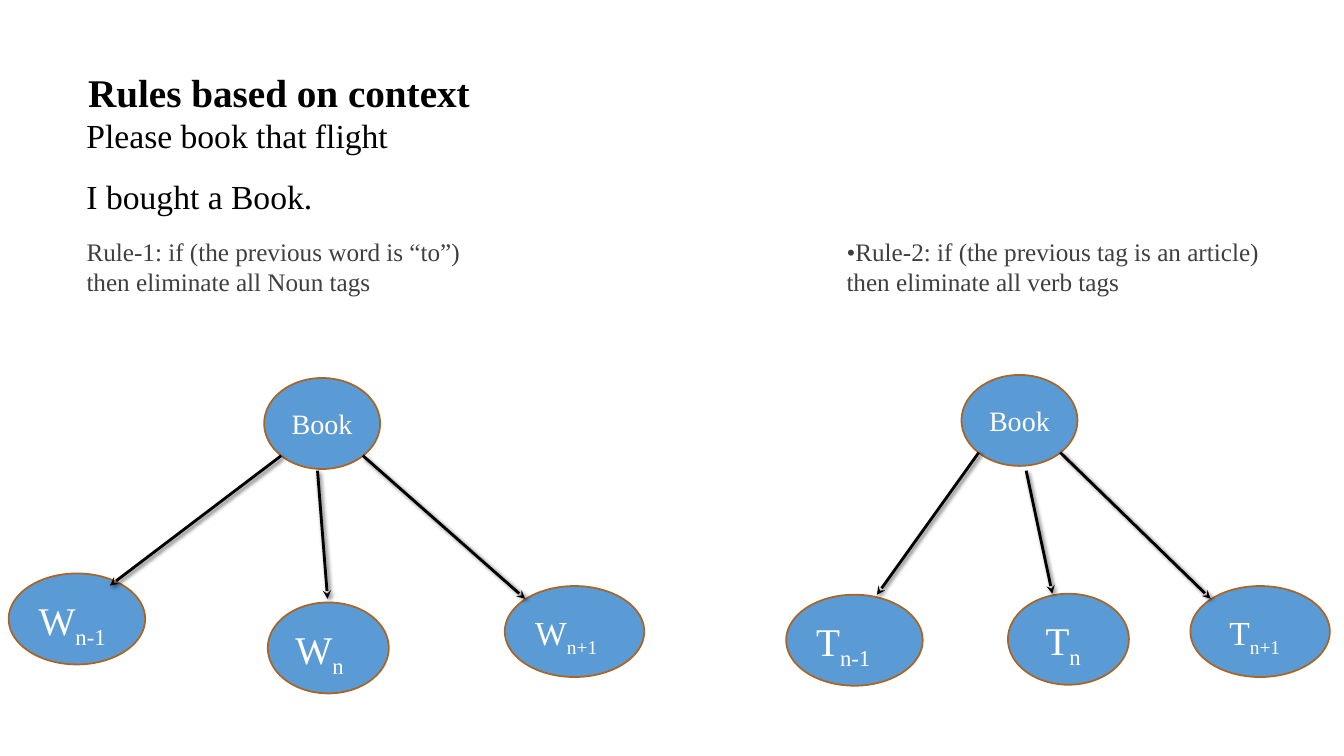
from lxml.etree import SubElement
from pptx import Presentation
from pptx.dml.color import RGBColor
from pptx.enum.shapes import MSO_CONNECTOR, MSO_SHAPE
from pptx.enum.text import MSO_ANCHOR, PP_ALIGN
from pptx.oxml import parse_xml
from pptx.oxml.ns import nsdecls, qn
from pptx.util import Pt

FONT = "Times New Roman"
COLORS = {
    "text": "000000",
    "rule": "3F3F3F",
    "node": "5B9BD5",
    "outline": "A96525",
    "label": "FFFFFF",
}
NODE_HEIGHT = 65

# Root position, then leaves as (left, top, width, letter, subscript, size, indent)
# and arrows as (from x, from y, to x, to y)
TREES = [
    {
        "root": (188.7, 270),
        "leaves": [
            (6.2, 409.6, 97.5, "W", "n-1", 28, 0),
            (191.3, 430.3, 86.4, "W", "n", 28, 0),
            (360.6, 418.6, 99.6, "W", "n+1", 24, 0),
        ],
        "arrows": [
            (200.9, 325.5, 78.5, 418.3),
            (226.8, 336.2, 234, 427.7),
            (259.2, 325.5, 375.1, 427.7),
        ],
    },
    {
        "root": (686.8, 267.8),
        "leaves": [
            (561.6, 424.8, 97.5, "T", "n-1", 28, 0),
            (720, 424.1, 86.4, "T", "n", 28, 7),
            (850.3, 418.6, 99.6, "T", "n+1", 24, 6),
        ],
        "arrows": [
            (699.1, 323.3, 626.4, 424.8),
            (733, 336.2, 751.7, 424.1),
            (757.4, 323.3, 864.7, 427.7),
        ],
    },
]


def rgb(name):
    return RGBColor.from_string(COLORS[name])


def set_font(p, size, color, bold=False):
    p.font.name = FONT
    p.font.size = Pt(size)
    p.font.bold = bold
    p.font.color.rgb = rgb(color)


def set_title(slide, text):
    sp = slide.shapes.title
    sp.left, sp.top, sp.width, sp.height = Pt(62.9), Pt(49), Pt(784), Pt(33)
    tf = sp.text_frame
    tf.margin_left = tf.margin_right = tf.margin_top = tf.margin_bottom = 0
    tf.vertical_anchor = MSO_ANCHOR.TOP
    tf.text = text
    p = tf.paragraphs[0]
    p.alignment = PP_ALIGN.LEFT
    p.line_spacing = 1.0
    set_font(p, 28, "text", bold=True)


def add_text(slide, left, top, width, height, lines, size, color, gap=0):
    sp = slide.shapes.add_textbox(Pt(left), Pt(top), Pt(width), Pt(height))
    tf = sp.text_frame
    tf.word_wrap = True
    for i, line in enumerate(lines):
        p = tf.paragraphs[0] if i == 0 else tf.add_paragraph()
        p.text = line
        if i:
            p.space_before = Pt(gap)
        set_font(p, size, color)


def add_node(slide, left, top, width, text, size):
    sp = slide.shapes.add_shape(
        MSO_SHAPE.OVAL, Pt(left), Pt(top), Pt(width), Pt(NODE_HEIGHT))
    sp.shadow.inherit = False
    sp.fill.solid()
    sp.fill.fore_color.rgb = rgb("node")
    sp.line.color.rgb = rgb("outline")
    sp.line.width = Pt(1.25)
    tf = sp.text_frame
    tf.vertical_anchor = MSO_ANCHOR.MIDDLE
    p = tf.paragraphs[0]
    p.alignment = PP_ALIGN.CENTER
    p.add_run().text = text
    set_font(p, size, "label")
    return tf


def add_leaf(slide, left, top, width, letter, subscript, size, indent):
    tf = add_node(slide, left, top, width, letter, size)
    tf.margin_left = Pt(7.2 + indent)
    p = tf.paragraphs[0]
    p.alignment = PP_ALIGN.LEFT
    p.line_spacing = 1.15
    r = p.add_run()
    r.text = subscript
    r.font._element.set("baseline", "-25000")


def add_arrow(slide, x1, y1, x2, y2):
    line = slide.shapes.add_connector(
        MSO_CONNECTOR.STRAIGHT, Pt(x1), Pt(y1), Pt(x2), Pt(y2))
    line.line.color.rgb = rgb("text")
    line.line.width = Pt(2)
    SubElement(line.line._get_or_add_ln(), qn("a:tailEnd"), type="stealth")
    line._element.spPr.append(parse_xml(
        f'<a:effectLst {nsdecls("a")}>'
        f'<a:outerShdw blurRad="{Pt(3)}" dist="{Pt(2)}" dir="2700000">'
        f'<a:srgbClr val="{COLORS["text"]}"><a:alpha val="60000"/></a:srgbClr>'
        '</a:outerShdw></a:effectLst>'))


def add_tree(slide, root, leaves, arrows):
    add_node(slide, *root, 82.8, "Book", 20)
    for leaf in leaves:
        add_leaf(slide, *leaf)
    for arrow in arrows:
        add_arrow(slide, *arrow)


def main():
    prs = Presentation()
    prs.slide_width, prs.slide_height = Pt(960), Pt(540)
    slide = prs.slides.add_slide(prs.slide_layouts[5])
    set_title(slide, "Rules based on context")
    add_text(slide, 54.7, 78.6, 792, 84,
             ["Please book that flight", "I bought a Book."], 24, "text", gap=15)
    for tree in TREES:
        add_tree(slide, **tree)
    add_text(slide, 54.7, 164.9, 480, 51,
             ["Rule-1: if (the previous word is “to”)",
              "then eliminate all Noun tags"], 18, "rule")
    add_text(slide, 597.6, 164.9, 355, 51,
             ["•Rule-2: if (the previous tag is an article)",
              "then eliminate all verb tags"], 18, "rule")
    prs.save("out.pptx")


if __name__ == "__main__":
    main()
